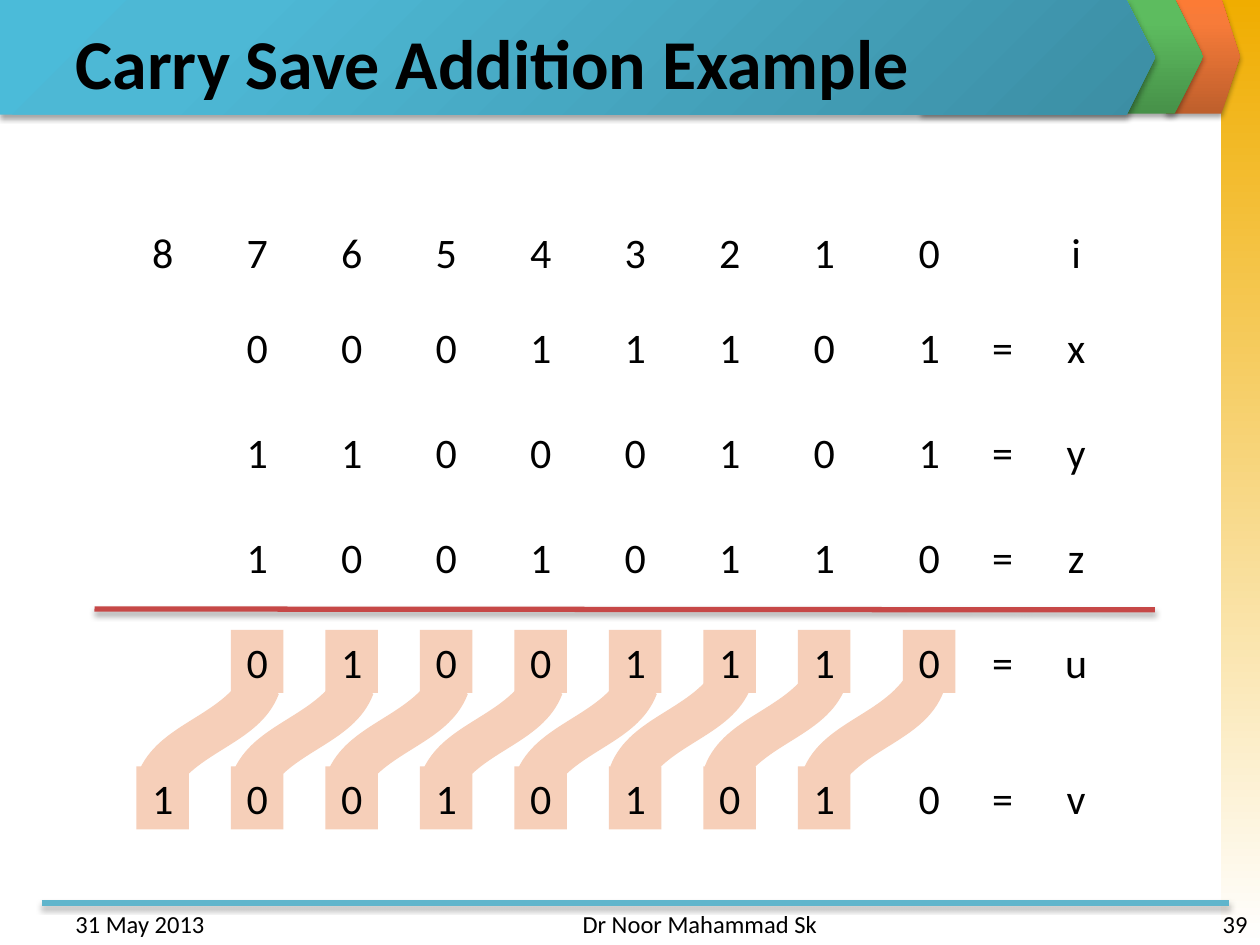
import pptx
import pptx.util
import pptx.dml.color
import pptx.enum.shapes
import pptx.enum.text
import pptx.oxml
import pptx.oxml.ns
from dataclasses import dataclass

Pt = pptx.util.Pt
KIND = pptx.enum.shapes.MSO_SHAPE
ALIGN = pptx.enum.text.PP_ALIGN
ANCHOR = pptx.enum.text.MSO_ANCHOR
NS = pptx.oxml.ns.nsdecls("a")


@dataclass(frozen=True)
class Theme:
    font: str = "Calibri"
    ink: str = "000000"
    peach: str = "F6CFB9"
    red: str = "C64847"
    aqua: str = "60B5CC"
    gold: tuple = ((0, "F0AD00"), (100, "FFFFFF"))
    orange: tuple = ((0, "BE5F2C"), (80, "F77B39"), (100, "FC7B35"))
    green: tuple = ((0, "479149"), (80, "5DBC5F"), (100, "5BBF5E"))
    blue: tuple = ((0, "3C8EA4"), (80, "4DB8D5"), (100, "4BBBD9"))
    title: int = 40
    digit: int = 24
    foot: int = 14


THEME = Theme()
COLS = [78 + 54 * i for i in range(8)] + [516]
EQUALS, NAME = 558, 600
CELL_W, CELL_H = 30, 36
# top, digits aligned to the right column, sign, name, columns that are filled
ROWS = [
    (126, "876543210", "", "i", ()),
    (180, "00011101", "=", "x", ()),
    (240, "11000101", "=", "y", ()),
    (300, "10010110", "=", "z", ()),
    (360, "01001110", "=", "u", range(1, 9)),
    (438, "100101010", "=", "v", range(8)),
]
# left shift from the column and top of the ribbon, one for each carry
RIBBONS = [(-3.6, 403.2)] * 5 + [(-3.6, 398.9)] * 2 + [(-1.7, 401.8)]


def rgb(code):
    return pptx.dml.color.RGBColor.from_string(code)


def box(at):
    return [Pt(n) for n in at]


def shade(item):
    """Give a shape or connector the soft shadow that falls straight down."""
    item._element.spPr.append(pptx.oxml.parse_xml(
        f'<a:effectLst {NS}><a:outerShdw blurRad="{Pt(3.1)}" dist="{Pt(1.8)}" '
        'dir="5400000" rotWithShape="0"><a:srgbClr val="000000">'
        '<a:alpha val="35000"/></a:srgbClr></a:outerShdw></a:effectLst>'))


def style(frame, text, size, align, bold=False):
    frame.text = text
    para = frame.paragraphs[0]
    para.alignment = align
    font = para.runs[0].font
    font.name, font.size, font.bold = THEME.font, Pt(size), bold
    font.color.rgb = rgb(THEME.ink)


def bar(slide, kind, at, stops, angle=None, shadow=True):
    """Draw a gradient bar; with no angle the blend spreads from a corner."""
    shape = slide.shapes.add_shape(kind, *box(at))
    if kind == KIND.PENTAGON:
        shape.adjustments[0] = 0.25
    shape.line.fill.background()
    marks = "".join(f'<a:gs pos="{pos * 1000}"><a:srgbClr val="{code}"/></a:gs>'
                    for pos, code in stops)
    if angle is None:
        way = ('<a:path path="circle"><a:fillToRect l="100000" t="100000"/>'
               '</a:path>')
    else:
        way = f'<a:lin ang="{angle * 60000}" scaled="0"/>'
    geom = shape._element.spPr.find(pptx.oxml.ns.qn("a:prstGeom"))
    geom.addnext(pptx.oxml.parse_xml(
        f'<a:gradFill {NS} rotWithShape="1"><a:gsLst>{marks}</a:gsLst>'
        f'{way}</a:gradFill>'))
    if shadow:
        shade(shape)
    else:
        shape.shadow.inherit = False


def rule(slide, start, end, color):
    line = slide.shapes.add_connector(
        pptx.enum.shapes.MSO_CONNECTOR.STRAIGHT, *box(start + end))
    line.line.color.rgb = rgb(color)
    line.line.width = Pt(3)
    shade(line)


def solid(slide, kind, at):
    shape = slide.shapes.add_shape(kind, *box(at))
    shape.shadow.inherit = False
    shape.fill.solid()
    shape.fill.fore_color.rgb = rgb(THEME.peach)
    shape.line.fill.background()
    return shape


def label(slide, at, text, size, align, filled=False):
    if filled:
        shape = solid(slide, KIND.RECTANGLE, at)
    else:
        shape = slide.shapes.add_textbox(*box(at))
    frame = shape.text_frame
    frame.word_wrap = True
    frame.vertical_anchor = ANCHOR.TOP
    style(frame, text, size, align)


def row(slide, top, digits, sign, name, marked):
    first = len(COLS) - len(digits)
    cells = [(COLS[i], digit, i in marked)
             for i, digit in enumerate(digits, first)]
    cells += [(EQUALS, sign, False), (NAME, name, False)]
    for left, text, filled in cells:
        if text:
            label(slide, (left, top, CELL_W, CELL_H), text, THEME.digit,
                  ALIGN.CENTER, filled)


def frame(slide):
    """Draw the banner, side strip and footer rule."""
    bar(slide, KIND.RECTANGLE, (697.7, 0, 22.3, 540), THEME.gold, 90, False)
    bar(slide, KIND.PENTAGON, (666, -0.5, 42.5, 65.5), THEME.orange, 270)
    bar(slide, KIND.PENTAGON, (526.3, -0.5, 161.3, 65.5), THEME.green, 270)
    rule(slide, (24, 516), (702, 516), THEME.aqua)
    bar(slide, KIND.PENTAGON, (0, 0, 660, 65.5), THEME.blue)


def head(slide, text):
    title = slide.shapes.title
    title.left, title.top, title.width, title.height = box((36, 10, 648, 50))
    title.text_frame.vertical_anchor = ANCHOR.MIDDLE
    style(title.text_frame, text, THEME.title, ALIGN.LEFT, True)
    slide.shapes._spTree.append(title._element)


def main():
    deck = pptx.Presentation()
    deck.slide_width, deck.slide_height = Pt(720), Pt(540)
    slide = deck.slides.add_slide(deck.slide_layouts[5])
    frame(slide)
    head(slide, "Carry Save Addition Example")
    for left, width, text, align in (
            (36, 168, "31 May 2013", ALIGN.LEFT),
            (246, 228, "Dr Noor Mahammad Sk", ALIGN.RIGHT),
            (552, 168, "39", ALIGN.RIGHT)):
        label(slide, (left, 516, width, 18), text, THEME.foot, align)
    for left, (shift, top) in zip(COLS, RIBBONS):
        wave = solid(slide, KIND.WAVE, (left + shift, top, 89.3, 32.4))
        wave.rotation = 315.3
    for line in ROWS:
        row(slide, *line)
    rule(slide, (54, 348), (660, 348.5), THEME.red)
    deck.save("out.pptx")


if __name__ == "__main__":
    main()
